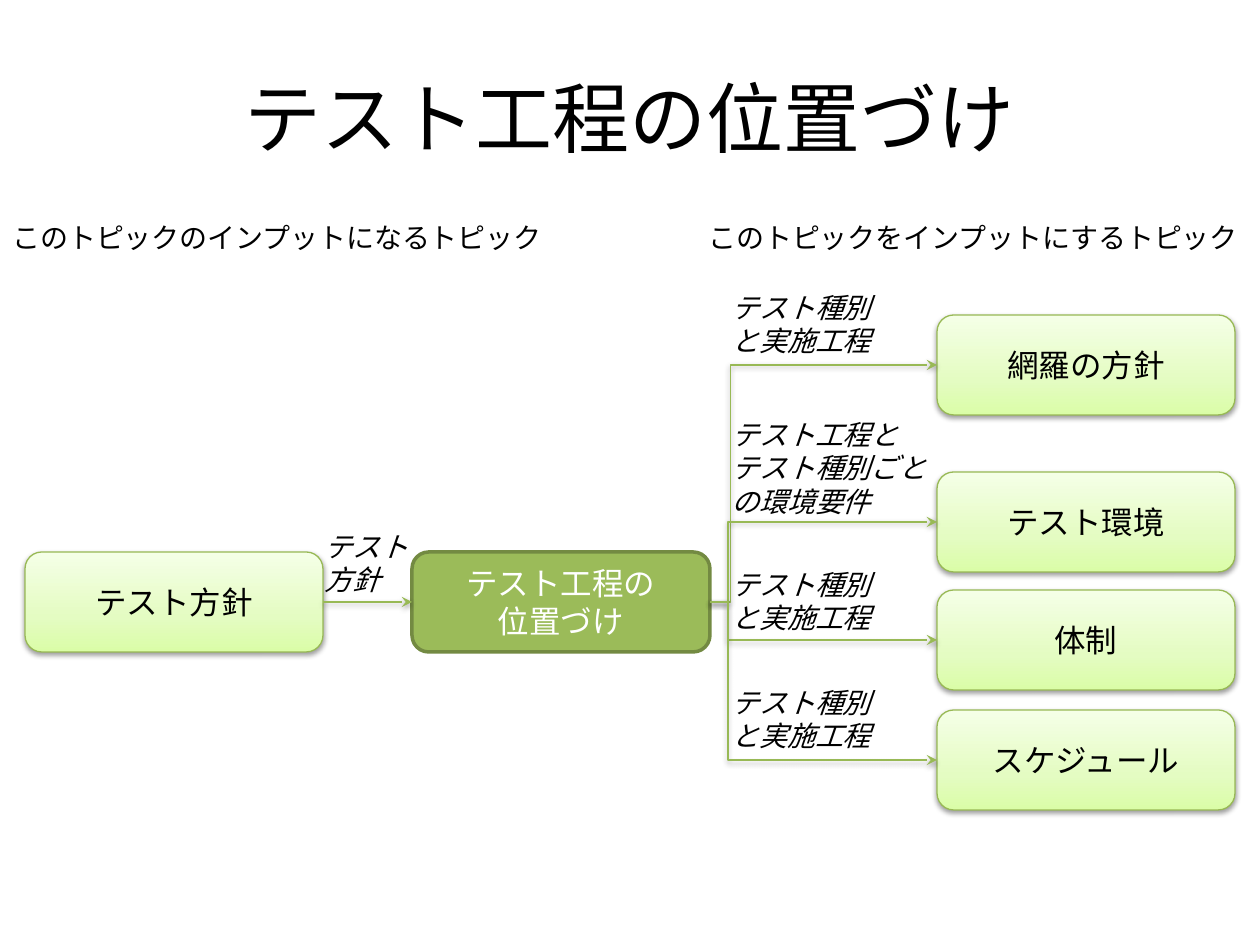
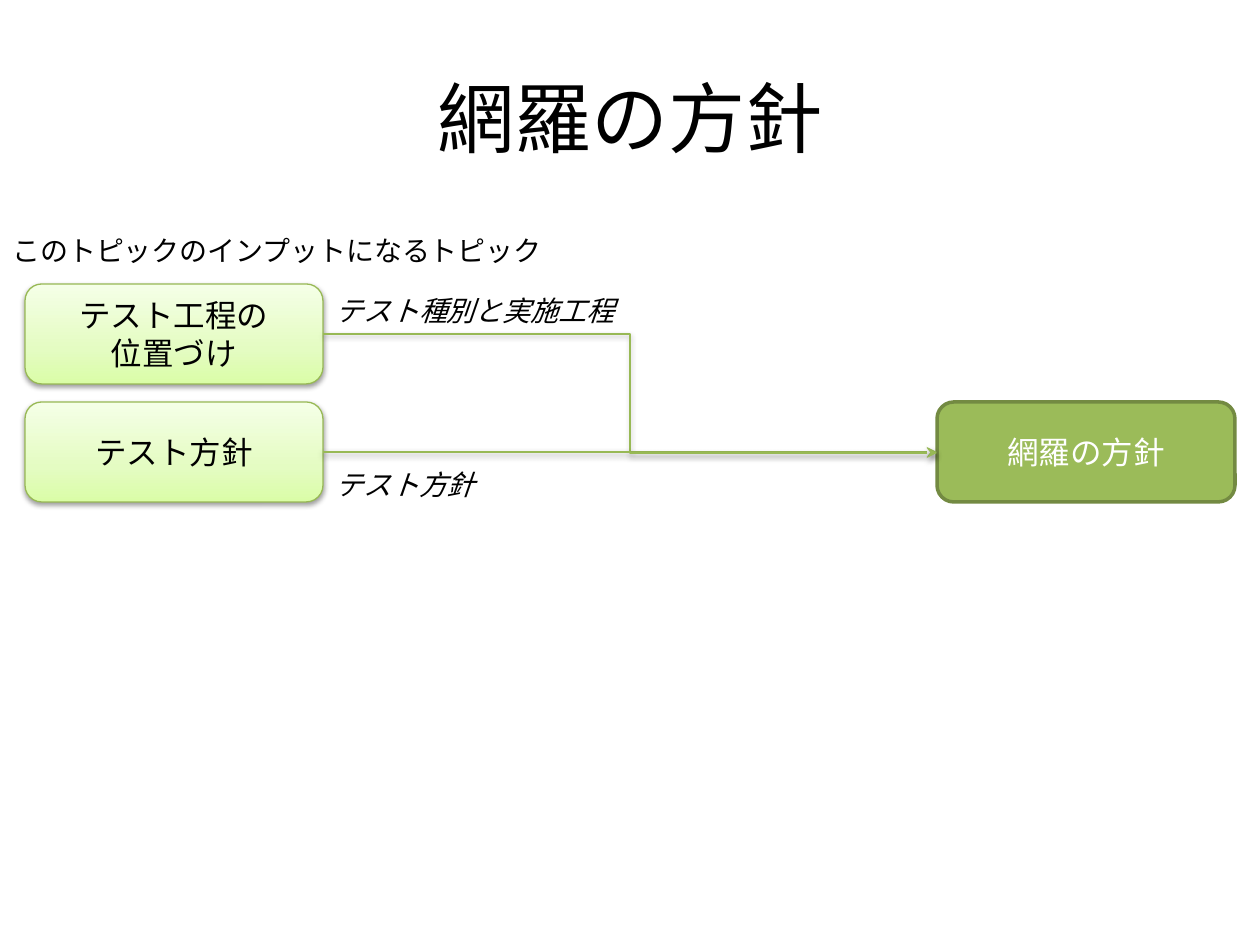
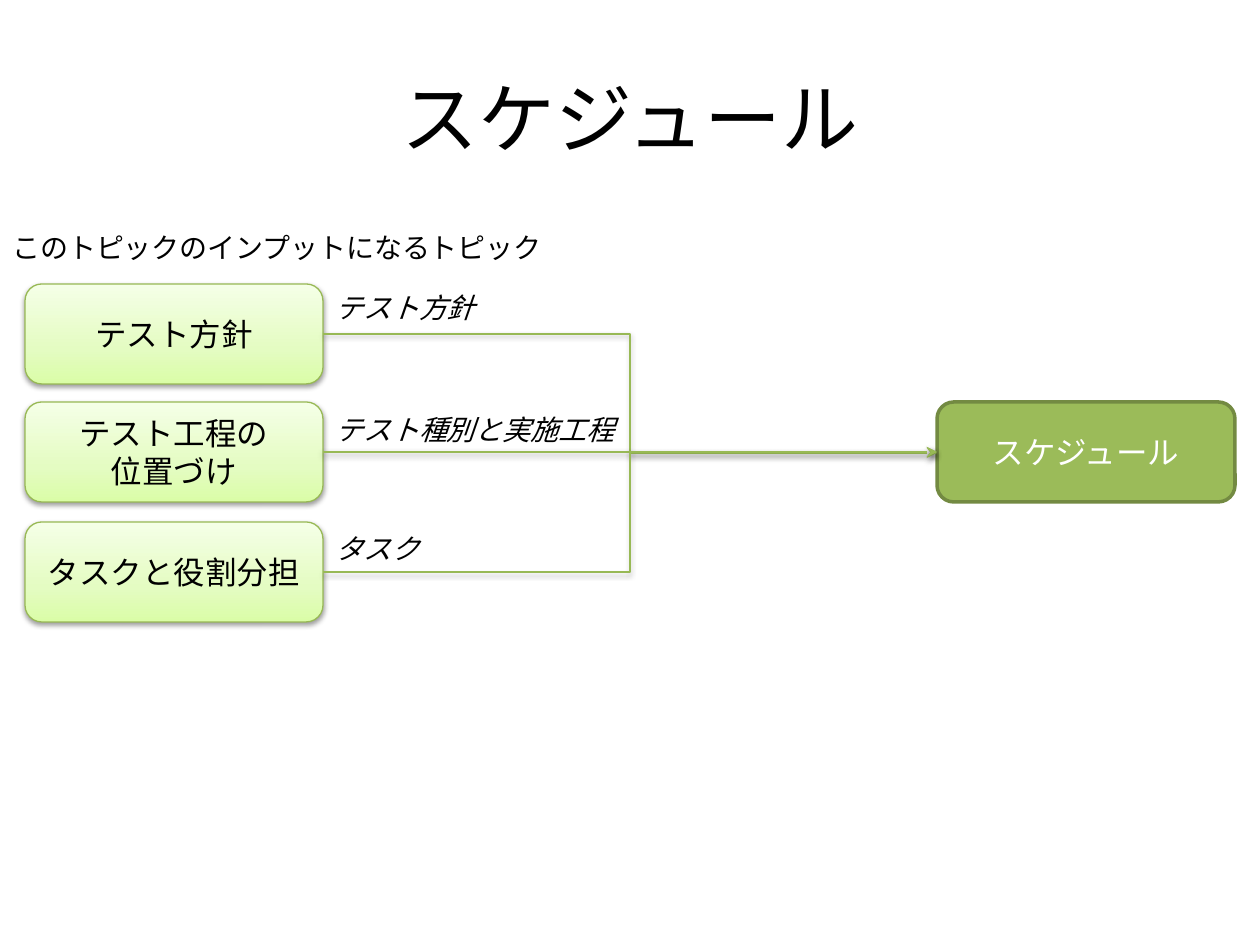
from dataclasses import dataclass

from lxml.etree import SubElement
from pptx import Presentation
from pptx.dml.color import RGBColor
from pptx.enum.shapes import MSO_CONNECTOR, MSO_SHAPE
from pptx.enum.text import MSO_ANCHOR, MSO_AUTO_SIZE, PP_ALIGN
from pptx.oxml import parse_xml
from pptx.oxml.ns import nsdecls, qn
from pptx.util import Emu, Pt

SCALE = 914400 / 126
PAGE_WIDTH, PAGE_HEIGHT = 1260, 945
FONT = "Noto Sans CJK JP"
BLACK, WHITE = "000000", "FFFFFF"
FOCUS_FILL, FOCUS_LINE, TOPIC_LINE = "9BBB59", "738A42", "98B955"
TOPIC_STOPS = ((0, "DAFDA7"), (35, "E4FCC2"), (100, "F5FFE7"))

BOX_WIDTH, BOX_HEIGHT = 298, 100
LEFT, CENTRE, RIGHT = 25, 412, 937
ROWS = (284, 402, 522)
LINE_HEIGHT = 47
INPUT_HEADING = "このトピックのインプットになるトピック"
OUTPUT_HEADING = "このトピックをインプットにするトピック"
OUTPUT_HEADING_TAB = 696
POSITIONING = "テスト工程の\n位置づけ"
POLICY = "テスト方針"
COVERAGE = "網羅の方針"
SCHEDULE = "スケジュール"
KINDS_AND_PHASES = "テスト種別と実施工程"


@dataclass(frozen=True)
class Topic:
    """A rounded topic box of the common size."""
    text: str
    left: int
    top: int
    focus: bool = False

    @property
    def middle(self) -> int:
        """Height of the box's horizontal centre line."""
        return self.top + BOX_HEIGHT // 2

    @property
    def right(self) -> int:
        """Right edge of the box."""
        return self.left + BOX_WIDTH


@dataclass(frozen=True)
class Label:
    """An italic caption beside an arrow."""
    text: str
    left: int
    top: int
    width: int
    height: int = LINE_HEIGHT
    wrap: bool = True


@dataclass(frozen=True)
class Heading:
    """The line of text above the topics."""
    text: str
    top: int
    width: int


@dataclass(frozen=True)
class Link:
    """An arrow between two topics; bend is the place of its elbow."""
    source: Topic
    target: Topic
    bend: float = 0.5
    drop: int = 0


def px(length: float) -> Emu:
    """Turn pixels into EMU."""
    return Emu(round(length * SCALE))


def colour(value: str) -> RGBColor:
    """Turn a hex string into a colour."""
    return RGBColor.from_string(value)


def write(frame, text: str, *, size: float, fill: str = BLACK,
          italic: bool = False, align=PP_ALIGN.LEFT) -> None:
    """Write one paragraph per line of text into a frame."""
    for index, line in enumerate(text.split("\n")):
        para = frame.paragraphs[0] if index == 0 else frame.add_paragraph()
        para.alignment = align
        span = para.add_run()
        span.text = line
        span.font.size = Pt(size)
        span.font.italic = italic
        span.font.color.rgb = colour(fill)
        span.font.name = FONT
        SubElement(span.font._element, qn("a:ea"), typeface=FONT)


def add_shadow(properties) -> None:
    """Give shape properties the soft shadow below."""
    properties.append(parse_xml(
        f'<a:effectLst {nsdecls("a")}><a:outerShdw blurRad="40000" dist="20000"'
        f' dir="5400000" rotWithShape="0"><a:srgbClr val="{BLACK}">'
        '<a:alpha val="38000"/></a:srgbClr></a:outerShdw></a:effectLst>'))


def add_gradient(properties) -> None:
    """Fill shape properties with the topic gradient, running upwards."""
    stops = "".join(
        f'<a:gs pos="{percent * 1000}"><a:srgbClr val="{value}"/></a:gs>'
        for percent, value in TOPIC_STOPS)
    properties.find(qn("a:prstGeom")).addnext(parse_xml(
        f'<a:gradFill {nsdecls("a")} rotWithShape="1"><a:gsLst>{stops}</a:gsLst>'
        '<a:lin ang="16200000" scaled="0"/></a:gradFill>'))


def add_topic(page, topic: Topic) -> None:
    """Draw a topic box, solid when it is the page's own topic."""
    box = page.shapes.add_shape(
        MSO_SHAPE.ROUNDED_RECTANGLE, px(topic.left), px(topic.top),
        px(BOX_WIDTH), px(BOX_HEIGHT))
    box.line.color.rgb = colour(FOCUS_LINE if topic.focus else TOPIC_LINE)
    box.line.width = Pt(2 if topic.focus else 0.75)
    if topic.focus:
        box.fill.solid()
        box.fill.fore_color.rgb = colour(FOCUS_FILL)
        box.shadow.inherit = False
    else:
        add_gradient(box._element.spPr)
        add_shadow(box._element.spPr)
    box.text_frame.word_wrap = True
    box.text_frame.vertical_anchor = MSO_ANCHOR.MIDDLE
    write(box.text_frame, topic.text, size=18, align=PP_ALIGN.CENTER,
          fill=WHITE if topic.focus else BLACK)


def add_link(page, link: Link) -> None:
    """Draw an arrow from the source's right side to the target's left side."""
    start, end = link.source.middle, link.target.middle + link.drop
    kind = MSO_CONNECTOR.STRAIGHT if start == end else MSO_CONNECTOR.ELBOW
    arrow = page.shapes.add_connector(
        kind, px(link.source.right), px(start), px(link.target.left), px(end))
    arrow.line.color.rgb = colour(TOPIC_LINE)
    arrow.line.width = Pt(0.75)
    SubElement(arrow.line._get_or_add_ln(), qn("a:tailEnd"), type="stealth")
    properties = arrow._element.spPr
    if kind == MSO_CONNECTOR.ELBOW:
        guides = properties.find(qn("a:prstGeom")).get_or_add_avLst()
        SubElement(guides, qn("a:gd"), name="adj1",
                   fmla=f"val {round(link.bend * 100000)}")
    add_shadow(properties)


def add_text(page, text: str, left: int, top: int, width: int, height: int,
             *, wrap: bool = True, italic: bool = False):
    """Add a text box that grows with its text, and return its frame."""
    box = page.shapes.add_textbox(px(left), px(top), px(width), px(height))
    frame = box.text_frame
    frame.word_wrap = wrap
    frame.auto_size = MSO_AUTO_SIZE.SHAPE_TO_FIT_TEXT
    write(frame, text, size=16, italic=italic)
    return frame


def add_heading(page, heading: Heading) -> None:
    """Write the heading line, with a tab stop for its second part."""
    frame = add_text(page, heading.text, 0, heading.top, heading.width, LINE_HEIGHT)
    if "\t" in heading.text:
        tabs = SubElement(frame.paragraphs[0]._p.get_or_add_pPr(), qn("a:tabLst"))
        SubElement(tabs, qn("a:tab"), pos=str(px(OUTPUT_HEADING_TAB)), algn="l")


def add_page(deck, title: str, heading: Heading, topics: list[Topic],
             links: list[Link], labels: list[Label]) -> None:
    """Add a page with its title, topics, arrows and captions."""
    page = deck.slides.add_slide(deck.slide_layouts[5])
    box = page.shapes.title
    box.left, box.top, box.width, box.height = map(px, (63, 38, 1134, 157))
    box.text_frame.vertical_anchor = MSO_ANCHOR.MIDDLE
    write(box.text_frame, title, size=44, align=PP_ALIGN.CENTER)
    for topic in topics:
        add_topic(page, topic)
    for link in links:
        add_link(page, link)
    add_heading(page, heading)
    for label in labels:
        add_text(page, label.text, label.left, label.top, label.width,
                 label.height, wrap=label.wrap, italic=True)


def add_positioning_page(deck) -> None:
    """Add the page on the place of the test phases."""
    focus = Topic(POSITIONING, CENTRE, 552, focus=True)
    policy = Topic(POLICY, LEFT, 552)
    outputs = [Topic(text, RIGHT, top) for text, top in (
        (COVERAGE, 315), ("テスト環境", 472), ("体制", 590), (SCHEDULE, 710))]
    bends = (0.09, 0.08, 0.08, 0.08)
    links = [Link(policy, focus)]
    links += [Link(focus, topic, bend) for topic, bend in zip(outputs, bends)]
    labels = [Label("テスト\n方針", 312, 523, 111, 81, wrap=False)]
    labels += [Label(KINDS_AND_PHASES, 719, top, 171, 81) for top in (284, 561, 679)]
    labels.append(Label("テスト工程と\nテスト種別ごとの環境要件", 719, 411, 238, 115))
    heading = Heading(f"{INPUT_HEADING}\t{OUTPUT_HEADING}", 214, PAGE_WIDTH)
    add_page(deck, POSITIONING.replace("\n", ""), heading,
             [focus, policy, *outputs], links, labels)


def add_input_page(deck, title: str, heading: Heading, inputs: list[str],
                   labels: list[Label]) -> None:
    """Add a page whose inputs on the left lead to one topic on the right."""
    focus = Topic(title, RIGHT, ROWS[1], focus=True)
    topics = [Topic(text, LEFT, top) for text, top in zip(inputs, ROWS)]
    links = [Link(topic, focus, drop=int(topic.top == focus.top)) for topic in topics]
    add_page(deck, title, heading, [focus, *topics], links, labels)


def main() -> None:
    """Build and save the deck."""
    deck = Presentation()
    deck.slide_width, deck.slide_height = px(PAGE_WIDTH), px(PAGE_HEIGHT)
    beside = LEFT + BOX_WIDTH
    add_positioning_page(deck)
    add_input_page(deck, COVERAGE, Heading(INPUT_HEADING, 227, 595),
                   [POSITIONING, POLICY],
                   [Label(KINDS_AND_PHASES, beside, 287, 386),
                    Label(POLICY, beside, 461, 166, wrap=False)])
    add_input_page(deck, SCHEDULE, Heading(INPUT_HEADING, 224, 600),
                   [POLICY, POSITIONING, "タスクと役割分担"],
                   [Label(POLICY, beside, 284, 166, wrap=False),
                    Label(KINDS_AND_PHASES, beside, 406, 377),
                    Label("タスク", beside, 525, 111, wrap=False)])
    deck.save("out.pptx")


main()
